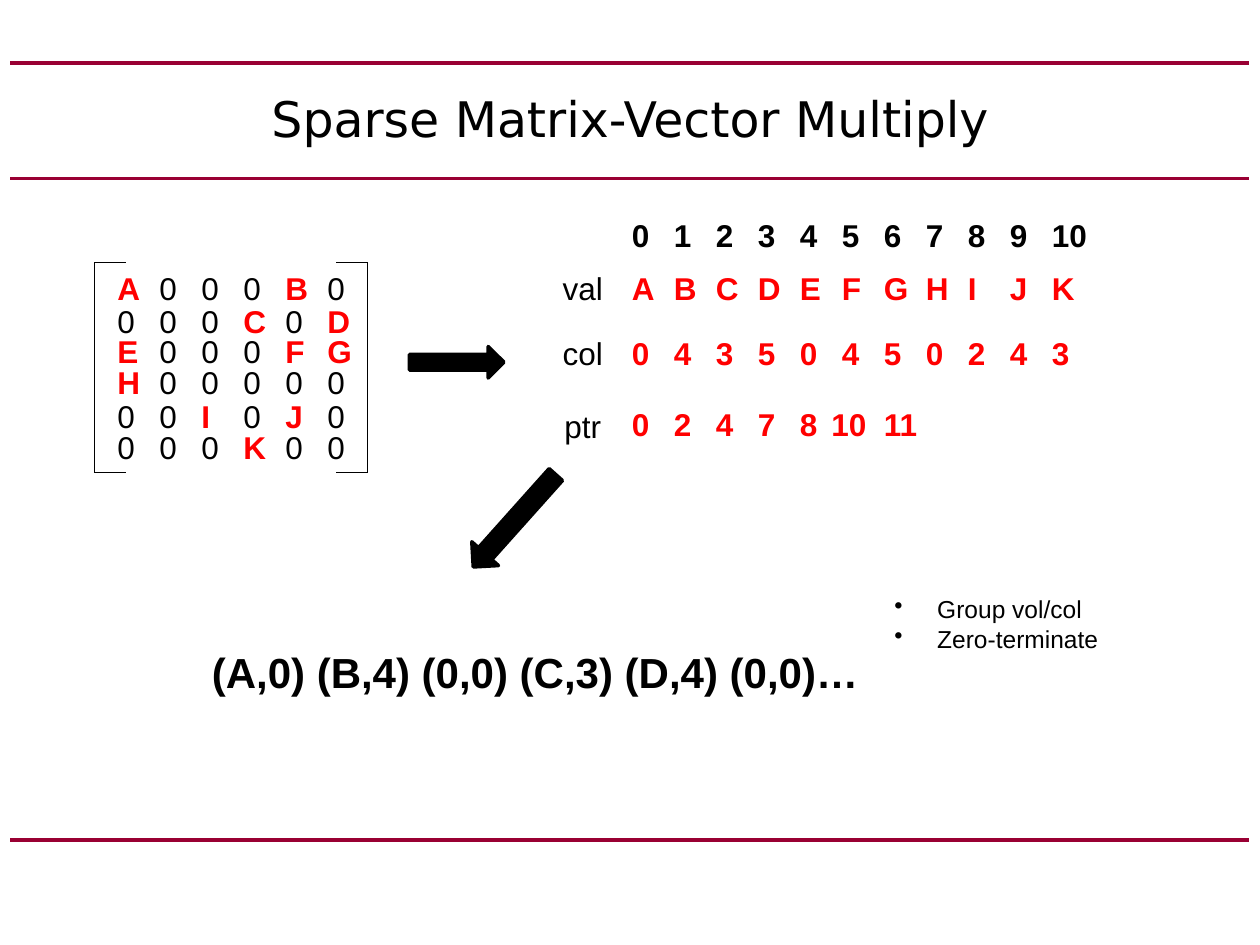
from dataclasses import dataclass

from lxml import etree
from pptx import Presentation
from pptx import util as u
from pptx.dml.color import RGBColor
from pptx.enum import shapes, text
from pptx.oxml import ns


@dataclass(frozen=True)
class Theme:
    ink: RGBColor = RGBColor(0, 0, 0)
    accent: RGBColor = RGBColor(0xFF, 0, 0)
    rule: RGBColor = RGBColor(0x99, 0, 0x33)
    title_font: str = "DejaVu Sans"
    body_font: str = "Arial"
    title_size: int = 28
    stream_size: int = 24
    cell_size: int = 18
    note_size: int = 14


COLUMNS, ROWS = 120, 90  # grid cells are a twelfth of an inch square
CELL_W, CELL_H = 4, 4.8
WIDE_CELL = 6


class SlideBuilder:
    def __init__(self, deck, theme):
        self.theme = theme
        self.slide = deck.slides.add_slide(deck.slide_layouts[6])
        self.column = deck.slide_width / COLUMNS
        self.row = deck.slide_height / ROWS

    def box(self, x, y, w, h):
        return (u.Emu(round(x * self.column)), u.Emu(round(y * self.row)),
                u.Emu(round(w * self.column)), u.Emu(round(h * self.row)))

    def line(self, x1, y1, x2, y2, color, width):
        left, top, right, bottom = self.box(x1, y1, x2, y2)
        line = self.slide.shapes.add_connector(
            shapes.MSO_CONNECTOR.STRAIGHT, left, top, right, bottom)
        line.line.color.rgb = color
        line.line.width = u.Pt(width)
        etree.SubElement(line._element.spPr, ns.qn("a:effectLst"))

    def arrow(self, preset, x, y, w, h, rotation=0):
        arrow = self.slide.shapes.add_shape(preset, *self.box(x, y, w, h))
        arrow.shadow.inherit = False
        arrow.fill.solid()
        arrow.fill.fore_color.rgb = self.theme.ink
        arrow.line.color.rgb = self.theme.ink
        arrow.line.width = u.Pt(2)
        arrow.rotation = rotation

    def label(self, words, x, y, w, h=CELL_H, size=None, color=None,
              bold=False, centered=False, font=None):
        frame = self.slide.shapes.add_textbox(*self.box(x, y, w, h)).text_frame
        frame.word_wrap = True
        frame.auto_size = text.MSO_AUTO_SIZE.SHAPE_TO_FIT_TEXT
        frame.text = words
        for paragraph in frame.paragraphs:
            if centered:
                paragraph.alignment = text.PP_ALIGN.CENTER
            for run in paragraph.runs:
                run.font.name = font or self.theme.body_font
                run.font.size = u.Pt(size or self.theme.cell_size)
                run.font.color.rgb = color or self.theme.ink
                run.font.bold = bold
        return frame

    def title(self, words, x, y, w, h):
        frame = self.label(words, x, y, w, h, self.theme.title_size,
                           centered=True, font=self.theme.title_font)
        frame.auto_size = text.MSO_AUTO_SIZE.NONE
        frame.vertical_anchor = text.MSO_ANCHOR.MIDDLE

    def bullets(self, items, x, y, w, h):
        frame = self.label("\n".join(items), x, y, w, h, self.theme.note_size)
        hang = u.Inches(0.34)
        for paragraph in frame.paragraphs:
            properties = paragraph._p.get_or_add_pPr()
            properties.set("marL", str(hang))
            properties.set("indent", str(-hang))
            etree.SubElement(properties, ns.qn("a:buChar"), char="•")

    def cells(self, entries, x, y, color, bold=True):
        for index, entry in enumerate(entries):
            width = WIDE_CELL if len(entry) > 1 else CELL_W
            self.label(entry, x + index * CELL_W, y, width,
                       color=color, bold=bold)

    def matrix(self, rows, x, tops):
        for entries, y in zip(rows, tops):
            for index, entry in enumerate(entries):
                nonzero = entry != "0"
                self.cells(entry, x + index * CELL_W, y,
                           self.theme.accent if nonzero else self.theme.ink,
                           bold=nonzero)

    def bracket(self, edge, lip, top, bottom):
        for x1, y1, x2, y2 in ((edge, top, lip, top), (edge, top, edge, bottom),
                               (edge, bottom, lip, bottom)):
            self.line(x1, y1, x2, y2, self.theme.ink, 0.75)


def main():
    deck = Presentation()
    deck.slide_width, deck.slide_height = u.Inches(10), u.Inches(7.5)
    theme = Theme()
    page = SlideBuilder(deck, theme)

    # Rules and title
    for rule_y in (80, 17, 6):
        page.line(1, rule_y, COLUMNS - 1, rule_y, theme.rule, 2.25)
    page.title("Sparse Matrix-Vector Multiply", 6, 6, 108, 10.5)

    # Sparse matrix in brackets
    matrix_rows = ("A000B0", "000C0D", "E000FG", "H00000", "00I0J0", "000K00")
    page.bracket(9, 12, 25, 45)
    page.matrix(matrix_rows, 10, (25, 28.2, 31, 34, 37.2, 40.2))
    page.bracket(35, 32, 25, 45)
    page.arrow(shapes.MSO_SHAPE.RIGHT_ARROW, 39, 33, 9, 3)

    # Compressed row storage
    arrays_x = 59
    indices = [str(index) for index in range(11)]
    page.cells(indices, arrays_x, 20, theme.ink)
    for name, name_y, entries, entries_y in (
            ("val", 25, "ABCDEFGHIJK", 25),
            ("col", 31.2, "04350450243", 31.2),
            ("ptr", 38.2, "02478", 38)):
        page.label(name, 50, name_y, 11, centered=True)
        page.cells(entries, arrays_x, entries_y, theme.accent)
    for pointer, pointer_x in (("10", 78), ("11", 83)):
        page.cells([pointer], pointer_x, 38, theme.accent)

    # Grouped, zero-terminated stream
    page.arrow(shapes.MSO_SHAPE.DOWN_ARROW, 47.3, 43.7, 3.4, 11.8, 41.8)
    page.label("(A,0) (B,4) (0,0) (C,3) (D,4) (0,0)…", 19, 61, 73, 6.1,
               theme.stream_size, bold=True)
    page.bullets(("Group vol/col", "Zero-terminate"), 84, 56, 23, 6.8)

    deck.save("out.pptx")


if __name__ == "__main__":
    main()
